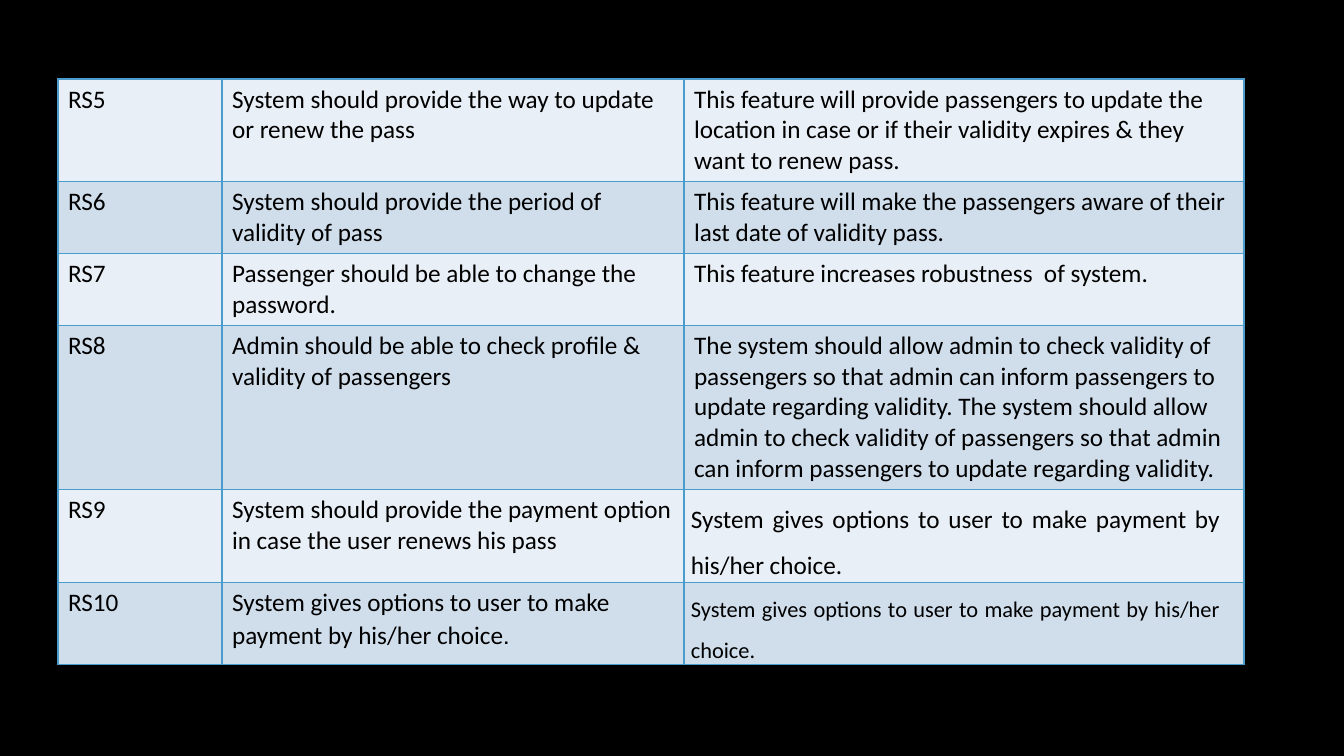
from lxml import etree
from pptx import Presentation
from pptx.dml.color import RGBColor
from pptx.enum.text import PP_ALIGN
from pptx.oxml.ns import qn
from pptx.util import Pt

PX = 914400 / 100.8
JUSTIFY = PP_ALIGN.JUSTIFY
BLANK_LAYOUT = 6

COLOURS = {
    "background": "000000",
    "text": "000000",
    "border": "4A9CCC",
    "light row": "E9EFF6",
    "dark row": "D0DEEC",
}
BODY_FONT, STOP_FONT = "Calibri", "Roboto Slab"

COLUMN_WIDTHS = [164, 462, 560]
ROW_HEIGHTS = [102, 72, 72, 163, 93, 82]

PAYMENT = "System gives options to user to make payment by his/her choice"
CHECK = ("he system should allow admin to check validity of passengers so that "
         "admin can inform passengers to update regarding validity.")
REQUIREMENTS = [
    ("RS5", "System should provide the way to update or renew the pass",
     "This feature will provide passengers to update the location in case "
     "or if their validity expires & they want to renew pass."),
    ("RS6", "System should provide the period of validity of pass",
     "This feature will make the passengers aware of their last date of "
     "validity pass."),
    ("RS7", "Passenger should be able to change the password.",
     "This feature increases robustness  of system."),
    ("RS8", "Admin should be able to check profile & validity of passengers",
     f"T{CHECK} T{CHECK}"),
    ("RS9", "System should provide the payment option in case the user "
     "renews his pass", PAYMENT + "."),
    ("RS10", PAYMENT, PAYMENT + "."),
]

JUSTIFIED = {"alignment": JUSTIFY, "line_spacing": 1.5, "space_before": Pt(4.5)}
TIGHT_MARGINS = {"margin_left": 7, "margin_right": 24,
                 "margin_top": 0, "margin_bottom": 0}


def px(length):
    return round(length * PX)


def rgb(name):
    return RGBColor.from_string(COLOURS[name])


def apply(target, values):
    for name, value in values.items():
        setattr(target, name, value)


def add_span(para, text, font=BODY_FONT, size=18):
    span = para.add_run()
    span.text = text
    apply(span.font, {"name": font, "size": Pt(size)})
    span.font.color.rgb = rgb("text")


def add_borders(cell):
    properties = cell._tc.get_or_add_tcPr()
    for index, side in enumerate(("a:lnL", "a:lnR", "a:lnT", "a:lnB")):
        line = etree.Element(qn(side), w=str(Pt(1)))
        fill = etree.SubElement(line, qn("a:solidFill"))
        etree.SubElement(fill, qn("a:srgbClr"), val=COLOURS["border"])
        properties.insert(index, line)


def style_cell(cell, fill):
    cell.fill.solid()
    cell.fill.fore_color.rgb = rgb(fill)
    add_borders(cell)


def justify_cell(cell):
    apply(cell, {name: px(value) for name, value in TIGHT_MARGINS.items()})
    apply(cell.text_frame.paragraphs[0], JUSTIFIED)


def add_requirements_table(page):
    frame = page.shapes.add_table(
        len(REQUIREMENTS), len(COLUMN_WIDTHS), px(58), px(79),
        px(sum(COLUMN_WIDTHS)), px(sum(ROW_HEIGHTS)))
    table = frame.table
    apply(table, {"first_row": False, "horz_banding": False})
    for column, width in zip(table.columns, COLUMN_WIDTHS):
        column.width = px(width)
    for row, height in zip(table.rows, ROW_HEIGHTS):
        row.height = px(height)

    for row_index, texts in enumerate(REQUIREMENTS):
        fill = "dark row" if row_index % 2 else "light row"
        for cell, text in zip(table.rows[row_index].cells, texts):
            style_cell(cell, fill)
            add_span(cell.text_frame.paragraphs[0], text,
                     size=16 if (row_index == 5 and text.endswith(".")) else 18)

    # Payment rows: justified feature text, and a full stop in its own font
    for row_index in (4, 5):
        justify_cell(table.cell(row_index, 2))
    add_span(table.cell(5, 1).text_frame.paragraphs[0], ".", STOP_FONT)


def main():
    deck = Presentation()
    apply(deck, {"slide_width": px(1344), "slide_height": px(756)})
    page = deck.slides.add_slide(deck.slide_layouts[BLANK_LAYOUT])
    page.background.fill.solid()
    page.background.fill.fore_color.rgb = rgb("background")
    add_requirements_table(page)
    deck.save("out.pptx")


if __name__ == "__main__":
    main()
